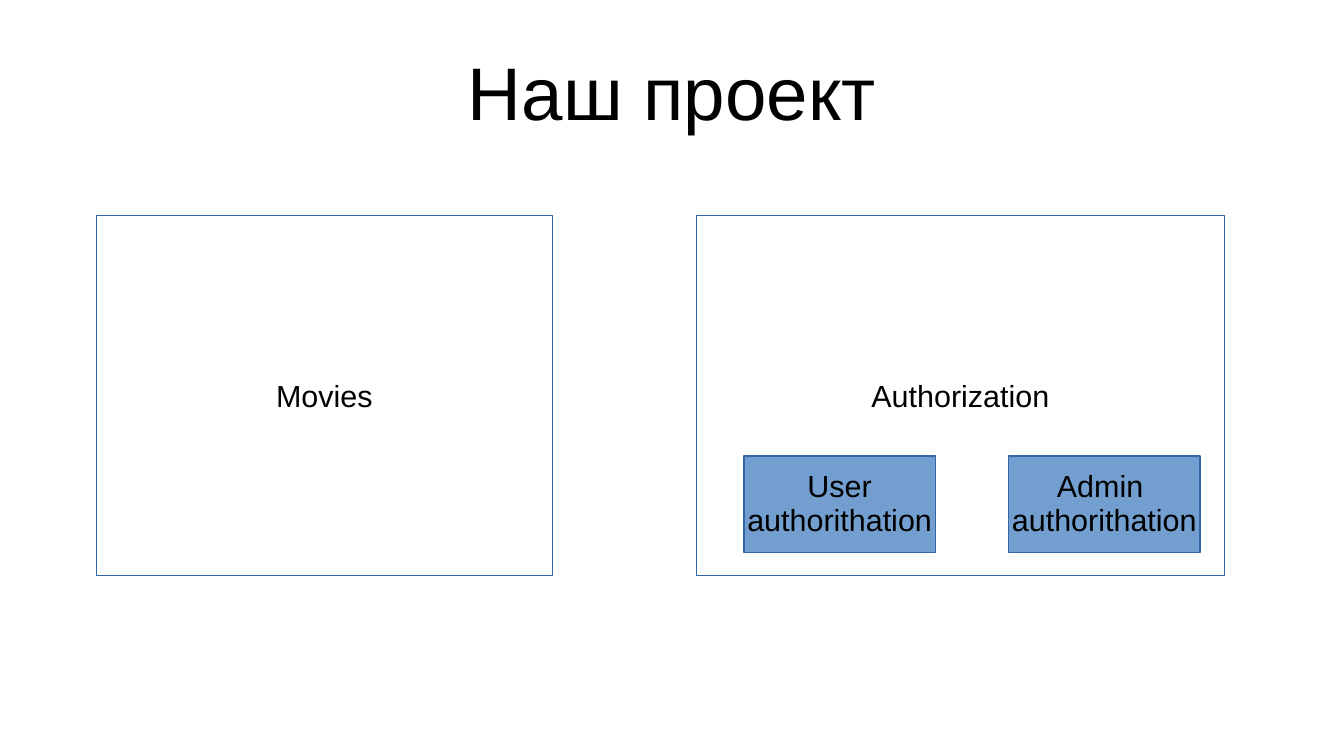
from pptx import Presentation
from pptx.dml.color import RGBColor
from pptx.enum.shapes import MSO_SHAPE
from pptx.enum.text import MSO_ANCHOR, PP_ALIGN
from pptx.util import Inches, Pt

FONT = "Arial"
BLACK, BORDER, BLUE = "000000", "3465A4", "729FCF"


def color(hex_string):
    return RGBColor.from_string(hex_string)


def set_text(shape, text, size, margins, wrap):
    """Write centred text; margins are left, top, right, bottom in inches."""
    frame = shape.text_frame
    frame.text = text
    frame.word_wrap = wrap
    frame.vertical_anchor = MSO_ANCHOR.MIDDLE
    (frame.margin_left, frame.margin_top,
     frame.margin_right, frame.margin_bottom) = map(Inches, margins)
    for paragraph in frame.paragraphs:
        paragraph.alignment = PP_ALIGN.CENTER
        paragraph.line_spacing = 0.93
        paragraph.space_before = Pt(0)
        paragraph.font.name = FONT
        paragraph.font.size = Pt(size)
        paragraph.font.color.rgb = color(BLACK)


def set_title(slide, text):
    title = slide.shapes.title
    title.left, title.top = Inches(0.55), Inches(0.25)
    title.width, title.height = Inches(9.92), Inches(1.03)
    set_text(title, text, 44, (0, 0.04, 0, 0), True)


def add_box(slide, text, left, top, width, height, fill=None, margin_top=0.07):
    box = slide.shapes.add_shape(
        MSO_SHAPE.RECTANGLE, *map(Inches, (left, top, width, height)))
    box.shadow.inherit = False
    if fill:
        box.fill.solid()
        box.fill.fore_color.rgb = color(fill)
    else:
        box.fill.background()
    box.line.color.rgb = color(BORDER)
    box.line.width = Pt(0.75)
    set_text(box, text, 18, (0.1, margin_top, 0.1, 0.05), False)


def main():
    presentation = Presentation()
    presentation.slide_width = Inches(11.02)
    presentation.slide_height = Inches(6.2)
    slide = presentation.slides.add_slide(presentation.slide_layouts[5])
    set_title(slide, "Наш проект")

    # Project modules
    for text, left, width in (("Movies", 0.79, 3.74),
                              ("Authorization", 5.71, 4.33)):
        add_box(slide, text, left, 1.77, width, 2.95)

    # Kinds of authorization
    for text, left in (("User\nauthorithation", 6.1),
                       ("Admin \nauthorithation", 8.27)):
        add_box(slide, text, left, 3.74, 1.57, 0.79, BLUE, 0.05)

    presentation.save("out.pptx")


if __name__ == "__main__":
    main()
